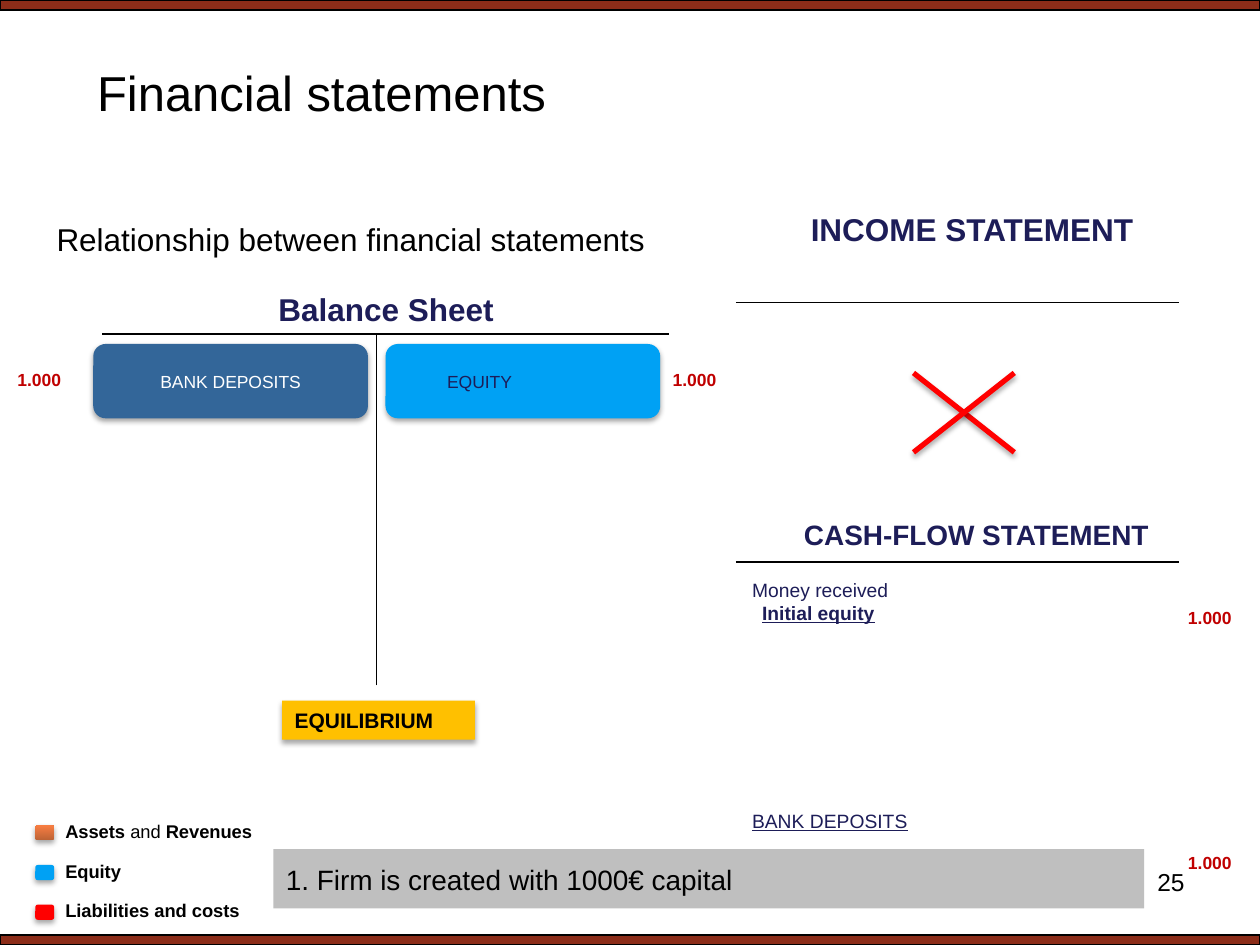
from dataclasses import dataclass

from lxml.etree import SubElement
from pptx import Presentation
from pptx.dml.color import RGBColor
from pptx.enum.shapes import MSO_CONNECTOR, MSO_SHAPE
from pptx.enum.text import MSO_ANCHOR as Anchor, PP_ALIGN as Align
from pptx.oxml.ns import qn
from pptx.util import Inches, Pt

COLORS = {
    "black": "000000", "white": "FFFFFF", "navy": "1D1D58", "brick": "8C2D19",
    "equity": "00A1F4", "asset": "336699", "debt": "FF0000", "amount": "C00000",
    "gray": "BFBFBF", "amber": "FFC000", "bullet": "996600",
    "revenue_dark": "BC6235", "revenue_light": "F97E42",
}
ROUNDED = MSO_SHAPE.FLOWCHART_ALTERNATE_PROCESS
RECTANGLE = MSO_SHAPE.RECTANGLE


@dataclass
class Area:
    left: float
    top: float
    width: float
    height: float

    def lengths(self) -> tuple:
        return tuple(Inches(n) for n in (self.left, self.top, self.width, self.height))


@dataclass
class Style:
    size: float
    color: str = "black"
    bold: bool = False
    underline: bool = False
    align: Align = Align.LEFT


@dataclass
class Rule:
    x1: float
    y1: float
    x2: float
    y2: float
    color: str = "black"
    width: float = 0.75
    shadow: bool = False


@dataclass
class LegendEntry:
    color: str
    spans: tuple


def rgb(name: str) -> RGBColor:
    return RGBColor.from_string(COLORS[name])


def format_para(para, style: Style) -> None:
    para.alignment = style.align
    for span in para.runs:
        font = span.font
        font.name, font.size, font.color.rgb = "Arial", Pt(style.size), rgb(style.color)
        font.bold, font.underline = style.bold, style.underline


def set_text(box, text: str, style: Style, anchor: Anchor = Anchor.TOP):
    frame = box.text_frame
    frame.word_wrap = True
    frame.vertical_anchor = anchor
    frame.text = text
    format_para(frame.paragraphs[0], style)
    return frame


def add_text(page, area: Area, text: str, style: Style):
    return set_text(page.shapes.add_textbox(*area.lengths()), text, style)


def set_effects(item, shadow: bool) -> None:
    properties = item._element.spPr
    effects = properties.find(qn("a:effectLst"))
    if effects is None:
        effects = SubElement(properties, qn("a:effectLst"))
    if shadow:
        outer = SubElement(effects, qn("a:outerShdw"), blurRad=str(Pt(3.1)),
                           dist=str(Pt(1.8)), dir="5400000", rotWithShape="0")
        color = SubElement(outer, qn("a:srgbClr"), val=COLORS["black"])
        SubElement(color, qn("a:alpha"), val="35000")


def add_block(page, kind, area: Area, color: str, shadow: bool = True):
    block = page.shapes.add_shape(kind, *area.lengths())
    block.fill.solid()
    block.fill.fore_color.rgb = rgb(color)
    block.line.fill.background()
    block.shadow.inherit = False
    set_effects(block, shadow)
    return block


def add_rule(page, rule: Rule) -> None:
    ends = [Inches(n) for n in (rule.x1, rule.y1, rule.x2, rule.y2)]
    line = page.shapes.add_connector(MSO_CONNECTOR.STRAIGHT, *ends)
    line.line.color.rgb = rgb(rule.color)
    line.line.width = Pt(rule.width)
    set_effects(line, rule.shadow)


def add_legend_entry(page, index: int, entry: LegendEntry):
    top = 6.55 + index * 0.315
    swatch = add_block(page, ROUNDED, Area(0.28, top, 0.15, 0.12), entry.color)
    frame = add_text(page, Area(0.42, top - 0.09, 3.93, 0.28), "", Style(10.5))
    para = frame.paragraphs[0]
    for text, bold in entry.spans:
        para.add_run().text = text
    format_para(para, Style(10.5))
    for span, (_, bold) in zip(para.runs, entry.spans):
        span.font.bold = bold
    return swatch


def add_bullet_line(page) -> None:
    box = page.shapes.add_textbox(*Area(0.35, 1.7, 9.39, 0.45).lengths())
    para = box.text_frame.paragraphs[0]
    properties = para._p.get_or_add_pPr()
    properties.set("marL", str(Inches(0.38)))
    properties.set("indent", str(Inches(-0.38)))
    color = SubElement(properties, qn("a:buClr"))
    SubElement(color, qn("a:srgbClr"), val=COLORS["bullet"])
    SubElement(properties, qn("a:buSzPct"), val="75000")
    SubElement(properties, qn("a:buChar"), char="■")
    set_text(box, "Relationship between financial statements", Style(18))


def main() -> None:
    deck = Presentation()
    deck.slide_width, deck.slide_height = Inches(10), Inches(7.5)
    page = deck.slides.add_slide(deck.slide_layouts[5])

    for top in (0, 7.42):
        band = add_block(page, RECTANGLE, Area(0, top, 10, 0.08), "brick", False)
        band.line.color.rgb = rgb("black")
        band.line.width = Pt(0.75)

    title = page.shapes.title
    title.left, title.top, title.width, title.height = Area(0.67, 0.29, 8.93, 0.88).lengths()
    set_text(title, "Financial statements", Style(28), Anchor.MIDDLE)
    add_bullet_line(page)

    equity = add_block(page, ROUNDED, Area(3.06, 2.73, 2.18, 0.59), "equity")
    set_text(equity, "EQUITY", Style(10, "navy"), Anchor.MIDDLE).margin_left = Inches(0.46)
    deposits = add_block(page, ROUNDED, Area(0.74, 2.73, 2.18, 0.59), "asset")
    set_text(deposits, "BANK DEPOSITS", Style(10, "white", align=Align.CENTER), Anchor.MIDDLE)

    for rule in (
        Rule(0.81, 2.65, 5.31, 2.65),
        Rule(2.99, 5.44, 2.99, 2.65),
        Rule(5.84, 2.4, 9.36, 2.4),
        Rule(5.84, 4.46, 9.36, 4.46),
        Rule(7.25, 2.96, 8.05, 3.59, "debt", 3, True),
        Rule(8.05, 2.96, 7.25, 3.59, "debt", 3, True),
    ):
        add_rule(page, rule)

    for text, area, size in (
        ("Balance Sheet", Area(1.9, 2.25, 2.33, 0.4), 18),
        ("INCOME STATEMENT", Area(6.18, 1.62, 3.07, 0.71), 18),
        ("CASH-FLOW STATEMENT", Area(6.02, 4.06, 3.46, 0.37), 16),
    ):
        add_text(page, area, text, Style(size, "navy", True, align=Align.CENTER))

    receipts = add_text(page, Area(5.87, 4.54, 3.49, 0.5), "Money received", Style(11, "navy"))
    source = receipts.add_paragraph()
    source._p.get_or_add_pPr().set("marL", str(Inches(0.08)))
    source.text = "Initial equity"
    format_para(source, Style(11, "navy", True, True))
    add_text(page, Area(5.87, 6.37, 3.49, 0.28), "BANK DEPOSITS",
             Style(11, "navy", underline=True))

    balance = add_block(page, RECTANGLE, Area(2.24, 5.56, 1.53, 0.31), "amber")
    set_text(balance, "EQUILIBRIUM", Style(12, bold=True), Anchor.MIDDLE)
    step = add_block(page, RECTANGLE, Area(2.17, 6.74, 6.91, 0.47), "gray", False)
    set_text(step, "1. Firm is created with 1000€ capital", Style(16), Anchor.MIDDLE)

    legend = (
        LegendEntry("revenue_light", (("Assets ", True), ("and ", False), ("Revenues", True))),
        LegendEntry("equity", (("Equity", True),)),
        LegendEntry("debt", (("Liabilities and costs", True),)),
    )
    swatches = [add_legend_entry(page, index, entry) for index, entry in enumerate(legend)]
    fill = swatches[0].fill
    fill.gradient()
    fill.gradient_angle = 90
    for stop, color in zip(fill.gradient_stops, ("revenue_dark", "revenue_light")):
        stop.color.rgb = rgb(color)

    for left, top in ((0.04, 2.88), (5.24, 2.88), (9.33, 4.77), (9.33, 6.71)):
        add_text(page, Area(left, top, 0.79, 0.27), "1.000", Style(10, "amount", True))
    add_text(page, Area(7.17, 6.83, 2.33, 0.52), "25", Style(14, align=Align.RIGHT))

    deck.save("out.pptx")


if __name__ == "__main__":
    main()
